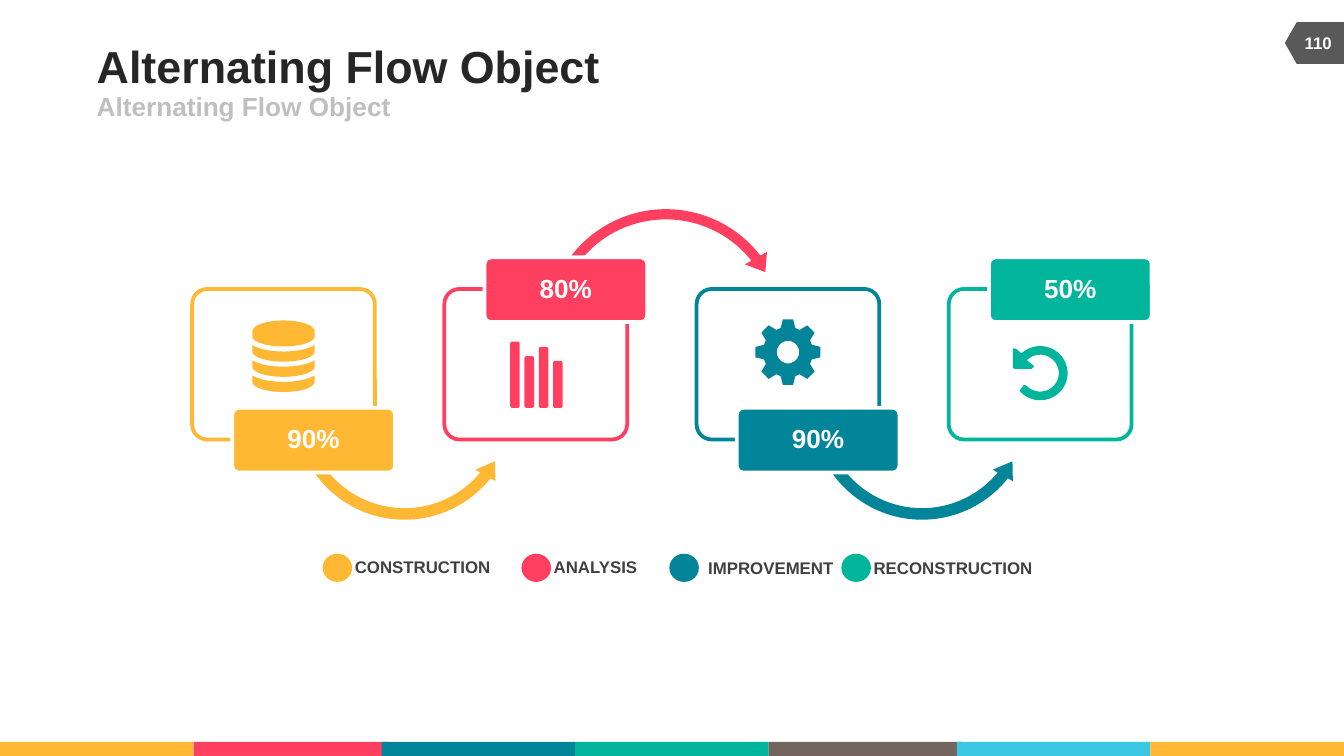
import math

import pptx
import pptx.dml.color
import pptx.enum.shapes
import pptx.enum.text
import pptx.util

RGBColor = pptx.dml.color.RGBColor
Preset = pptx.enum.shapes.MSO_SHAPE
Align = pptx.enum.text.PP_ALIGN

YELLOW = RGBColor(0xFE, 0xB8, 0x34)
RED = RGBColor(0xFF, 0x3F, 0x5F)
TEAL = RGBColor(0x02, 0x85, 0x99)
GREEN = RGBColor(0x01, 0xB5, 0x9C)
BROWN = RGBColor(0x73, 0x65, 0x5D)
SKY = RGBColor(0x3B, 0xC7, 0xE2)
WHITE = RGBColor(0xFF, 0xFF, 0xFF)
TITLE_INK = RGBColor(0x26, 0x26, 0x26)
SUBTITLE_INK = RGBColor(0xBF, 0xBF, 0xBF)
LABEL_INK = RGBColor(0x40, 0x40, 0x40)
BADGE_GRAY = RGBColor(0x59, 0x59, 0x59)

COLUMNS, ROWS = 100, 56.25
CELL = pptx.util.Inches(0.1)


def cells(box):
    return [round(length * CELL) for length in box]


def within(box, left, top, width, height):
    return (box[0] + left * box[2], box[1] + top * box[3], width * box[2], height * box[3])


def add_preset(slide, preset, box, fill=None, line=None, adjustments=()):
    shape = slide.shapes.add_shape(preset, *cells(box))
    shape.shadow.inherit = False
    for index, value in enumerate(adjustments):
        shape.adjustments[index] = value
    if fill is None:
        shape.fill.background()
    else:
        shape.fill.solid()
        shape.fill.fore_color.rgb = fill
    if line is None:
        shape.line.fill.background()
    else:
        shape.line.color.rgb = line
        shape.line.width = pptx.util.Pt(2)
    return shape


def write(shape, text, size, color, alignment=Align.LEFT):
    frame = shape.text_frame
    frame.text = text
    frame.word_wrap = False
    frame.vertical_anchor = pptx.enum.text.MSO_ANCHOR.MIDDLE
    frame.margin_left = frame.margin_right = frame.margin_top = frame.margin_bottom = 0
    paragraph = frame.paragraphs[0]
    paragraph.alignment = alignment
    font = paragraph.runs[0].font
    font.name, font.size, font.bold = "Arial", pptx.util.Pt(size), True
    font.color.rgb = color
    return paragraph


def add_text(slide, box, text, size, color, alignment=Align.LEFT):
    write(slide.shapes.add_textbox(*cells(box)), text, size, color, alignment)


def arc(center_x, center_y, radius_x, radius_y, start, end, steps=40):
    angles = [math.radians(start + (end - start) * step / steps) for step in range(steps + 1)]
    return [(center_x + radius_x * math.cos(angle), center_y + radius_y * math.sin(angle))
            for angle in angles]


def add_outline(slide, box, contours, color):
    left, top, width, height = cells(box)
    builder = None
    for contour in contours:
        points = [(left + x * width, top + y * height) for x, y in contour]
        if builder is None:
            builder = slide.shapes.build_freeform(*points[0])
        else:
            builder.move_to(*points[0])
        builder.add_line_segments(points[1:], close=True)
    shape = builder.convert_to_shape()
    shape.shadow.inherit = False
    shape.fill.solid()
    shape.fill.fore_color.rgb = color
    shape.line.fill.background()


def draw_stack(slide, box, color):
    disc = arc(0.5, 0.15, 0.5, 0.15, 180, 360) + arc(0.5, 0.22, 0.5, 0.14, 0, 180)
    slabs = []
    for layer in range(3):
        rim = 0.34 + 0.21 * layer
        slabs.append(arc(0.5, rim - 0.09, 0.58, 0.18, 150, 30)
                     + arc(0.5, rim + 0.09, 0.5, 0.14, 0, 180))
    add_outline(slide, box, [disc] + slabs, color)


def draw_bars(slide, box, color):
    for index, height in enumerate((1, 0.78, 0.92, 0.71)):
        bar = within(box, index * 0.27, 1 - height, 0.18, height)
        add_preset(slide, Preset.ROUNDED_RECTANGLE, bar, color, adjustments=[0.2])


def draw_gear(slide, box, color):
    rim = []
    for tooth in range(8):
        for radius, offset in ((0.38, -17), (0.5, -9), (0.5, 9), (0.38, 17)):
            angle = math.radians(45 * tooth + offset)
            rim.append((0.5 + radius * math.cos(angle), 0.5 + radius * math.sin(angle)))
    add_outline(slide, box, [rim, arc(0.5, 0.5, 0.17, 0.17, 360, 0)], color)


def draw_undo(slide, box, color):
    head = [(0.06, 0.05), (0.02, 0.04), (0, 0.07), (0, 0.4), (0.03, 0.42),
            (0.35, 0.42), (0.39, 0.37), (0.28, 0.28)]
    contour = (arc(0.5, 0.5, 0.5, 0.5, 139, -133) + head
               + arc(0.5, 0.5, 0.34, 0.34, -135, 138) + [(0.2, 0.72)])
    add_outline(slide, box, [contour], color)


def draw_header(slide, box):
    add_text(slide, within(box, 0, 0, 1, 0.64), "Alternating Flow Object", 24, TITLE_INK)
    add_text(slide, within(box, 0, 0.64, 0.73, 0.36), "Alternating Flow Object", 14, SUBTITLE_INK)


def draw_page_badge(slide, box):
    left, top, width, height = box
    upright = (left + (width - height) / 2, top + (height - width) / 2, height, width)
    badge = add_preset(slide, Preset.FLOWCHART_OFFPAGE_CONNECTOR, upright, BADGE_GRAY)
    badge.rotation = 90
    add_text(slide, within(box, 0.09, 0, 0.95, 0.98), "110", 9, WHITE, Align.CENTER)


def draw_stage(slide, box, color, percent, tag_top, draw_icon, icon):
    add_preset(slide, Preset.ROUNDED_RECTANGLE, box, line=color, adjustments=[0.1])
    tag = add_preset(slide, Preset.ROUNDED_RECTANGLE, within(box, 0.22, tag_top, 0.89, 0.43),
                     color, WHITE, [0.1])
    write(tag, percent, 14, WHITE, Align.CENTER).line_spacing = 0.9
    draw_icon(slide, within(box, *icon), color)


def draw_flow(slide, box):
    low = (0.05, 5.66, 23.41, 90.25, 0.05)
    high = (0.04, 5.09, 193.16, 125.76, 0.05)
    arrows = [
        (Preset.LEFT_CIRCULAR_ARROW, (60, 21.9, 17.2, 17.2), TEAL, low),
        (Preset.LEFT_CIRCULAR_ARROW, (21.5, 21.9, 17.2, 17.2), YELLOW, low),
        (Preset.CIRCULAR_ARROW, (40.1, 15, 18.9, 18.9), RED, high),
    ]
    for preset, arrow, color, adjustments in arrows:
        add_preset(slide, preset, arrow, color, adjustments=adjustments)
    above, below = -0.21, 0.79
    stages = [
        (YELLOW, "90%", below, draw_stack, (0.33, 0.21, 0.34, 0.48)),
        (RED, "80%", above, draw_bars, (0.36, 0.35, 0.29, 0.44)),
        (TEAL, "90%", below, draw_gear, (0.32, 0.2, 0.36, 0.44)),
        (GREEN, "50%", above, draw_undo, (0.35, 0.38, 0.3, 0.36)),
    ]
    left, top, width, height = box
    frame_width = 13.6
    pitch = (width - frame_width) / (len(stages) - 1)
    for index, stage in enumerate(stages):
        draw_stage(slide, (left + index * pitch, top, frame_width, height), *stage)


def draw_legend(slide, box):
    entries = [
        (0, 2.4, 0.2, 10.2, "CONSTRUCTION", YELLOW),
        (14.8, 2.4, 0.2, 6.4, "ANALYSIS", RED),
        (25.8, 2.9, 0.3, 9.4, "IMPROVEMENT", TEAL),
        (38.6, 2.4, 0.3, 11.9, "RECONSTRUCTION", GREEN),
    ]
    left, top, width, height = box
    for column, gap, drop, label_width, label, color in entries:
        add_preset(slide, Preset.OVAL, (left + column, top, 2.2, height), color)
        add_text(slide, (left + column + gap, top + drop, label_width, 1.5), label, 9, LABEL_INK)


def draw_footer(slide, box):
    left, top, width, height = box
    starts = (0, 14.4, 28.4, 42.8, 57.2, 71.2, 85.6)
    colors = (YELLOW, RED, TEAL, GREEN, BROWN, SKY, YELLOW)
    for start, color in zip(starts, colors):
        add_preset(slide, Preset.RECTANGLE, (left + start, top, width - starts[-1], height), color)


def main():
    presentation = pptx.Presentation()
    presentation.slide_width, presentation.slide_height = cells((COLUMNS, ROWS))
    slide = presentation.slides.add_slide(presentation.slide_layouts[6])
    draw_footer(slide, (0, ROWS - 1.05, COLUMNS, 1.05))
    draw_page_badge(slide, (95.6, 1.65, 4.4, 3.1))
    draw_header(slide, (7.2, 2.9, 61.7, 6.1))
    draw_legend(slide, (24, 41.2, 52.9, 2.1))
    draw_flow(slide, (14.3, 21.5, 69.9, 11.2))
    presentation.save("out.pptx")


if __name__ == "__main__":
    main()
